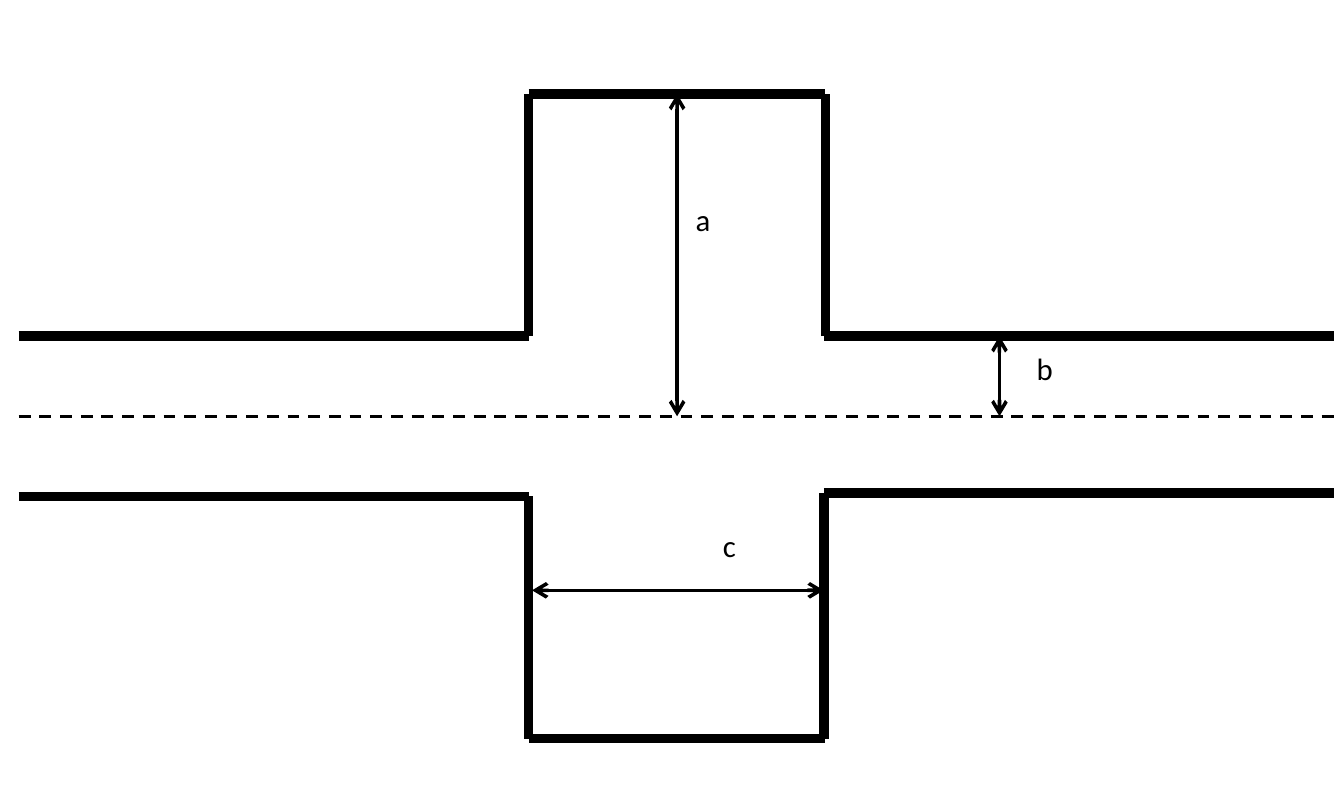
from lxml import etree
from pptx import Presentation
from pptx import util as u
from pptx.dml.color import RGBColor
from pptx.enum import dml, shapes, text
from pptx.oxml.ns import qn

COLORS = {"ink": "000000"}
FONT = "Calibri"
WALL, ARROW, AXIS = 4, 1.5, 1.25

# Channel geometry, in points
LEFT, RIGHT = 7.92, 563.04
CAVITY_LEFT, CAVITY_RIGHT = 223.2, 348.48
LOWER_RIGHT = 347.76
CAVITY_TOP, CAVITY_BOTTOM = 39.6, 311.76
UPPER_WALL, CENTER = 141.84, 175.68
LOWER_WALL_LEFT, LOWER_WALL_RIGHT = 209.52, 208.08
A_X, B_X, C_Y = 285.84, 421.92, 249.12


class Diagram:
    def __init__(self, deck):
        self.page = deck.slides.add_slide(deck.slide_layouts[6])
        self.ink = RGBColor.from_string(COLORS["ink"])

    def line(self, x1, y1, x2, y2, width=WALL):
        line = self.page.shapes.add_connector(
            shapes.MSO_CONNECTOR.STRAIGHT, *map(u.Pt, (x1, y1, x2, y2)))
        line.line.color.rgb = self.ink
        line.line.width = u.Pt(width)
        etree.SubElement(line._element.spPr, qn("a:effectLst"))
        return line

    def dashed(self, x1, y1, x2, y2):
        self.line(x1, y1, x2, y2, AXIS).line.dash_style = dml.MSO_LINE.DASH

    def dimension(self, x1, y1, x2, y2):
        """Draw a line with an open arrowhead at both ends."""
        outline = self.line(x1, y1, x2, y2, ARROW).line._get_or_add_ln()
        for end in ("a:headEnd", "a:tailEnd"):
            etree.SubElement(outline, qn(end), type="arrow")

    def label(self, caption, x, y, width):
        box = self.page.shapes.add_textbox(*map(u.Pt, (x, y, width, 28.8)))
        frame = box.text_frame
        frame.word_wrap = False
        frame.auto_size = text.MSO_AUTO_SIZE.SHAPE_TO_FIT_TEXT
        para = frame.paragraphs[0]
        para.text = caption
        para.font.name = FONT
        para.font.size = u.Pt(13)
        para.font.color.rgb = self.ink


def main():
    deck = Presentation()
    deck.slide_width, deck.slide_height = u.Pt(567.36), u.Pt(340.56)
    diagram = Diagram(deck)

    # Channel walls
    for x1, x2, y in (
        (LEFT, CAVITY_LEFT, UPPER_WALL),
        (LEFT, CAVITY_LEFT, LOWER_WALL_LEFT),
        (LOWER_RIGHT, RIGHT, LOWER_WALL_RIGHT),
        (LOWER_RIGHT, RIGHT, UPPER_WALL),
        (CAVITY_LEFT, CAVITY_RIGHT, CAVITY_TOP),
        (CAVITY_LEFT, CAVITY_RIGHT, CAVITY_BOTTOM),
    ):
        diagram.line(x1, y, x2, y)

    # Cavity sides
    for x, y1, y2 in (
        (CAVITY_LEFT, UPPER_WALL, CAVITY_TOP),
        (CAVITY_LEFT, CAVITY_BOTTOM, LOWER_WALL_LEFT),
        (LOWER_RIGHT, CAVITY_BOTTOM, LOWER_WALL_RIGHT),
        (CAVITY_RIGHT, UPPER_WALL, CAVITY_TOP),
    ):
        diagram.line(x, y1, x, y2)

    diagram.dimension(A_X, CAVITY_TOP, A_X, CENTER)
    diagram.dimension(B_X, UPPER_WALL, B_X, CENTER)
    diagram.dimension(LOWER_RIGHT, C_Y, 224.64, C_Y)
    diagram.dashed(LEFT, CENTER, RIGHT, CENTER)

    diagram.label("a", 286.56, 81.36, 23.04)
    diagram.label("b", 430.56, 144, 24.48)
    diagram.label("c", 298.08, 218.88, 22.32)

    deck.save("out.pptx")


if __name__ == "__main__":
    main()
